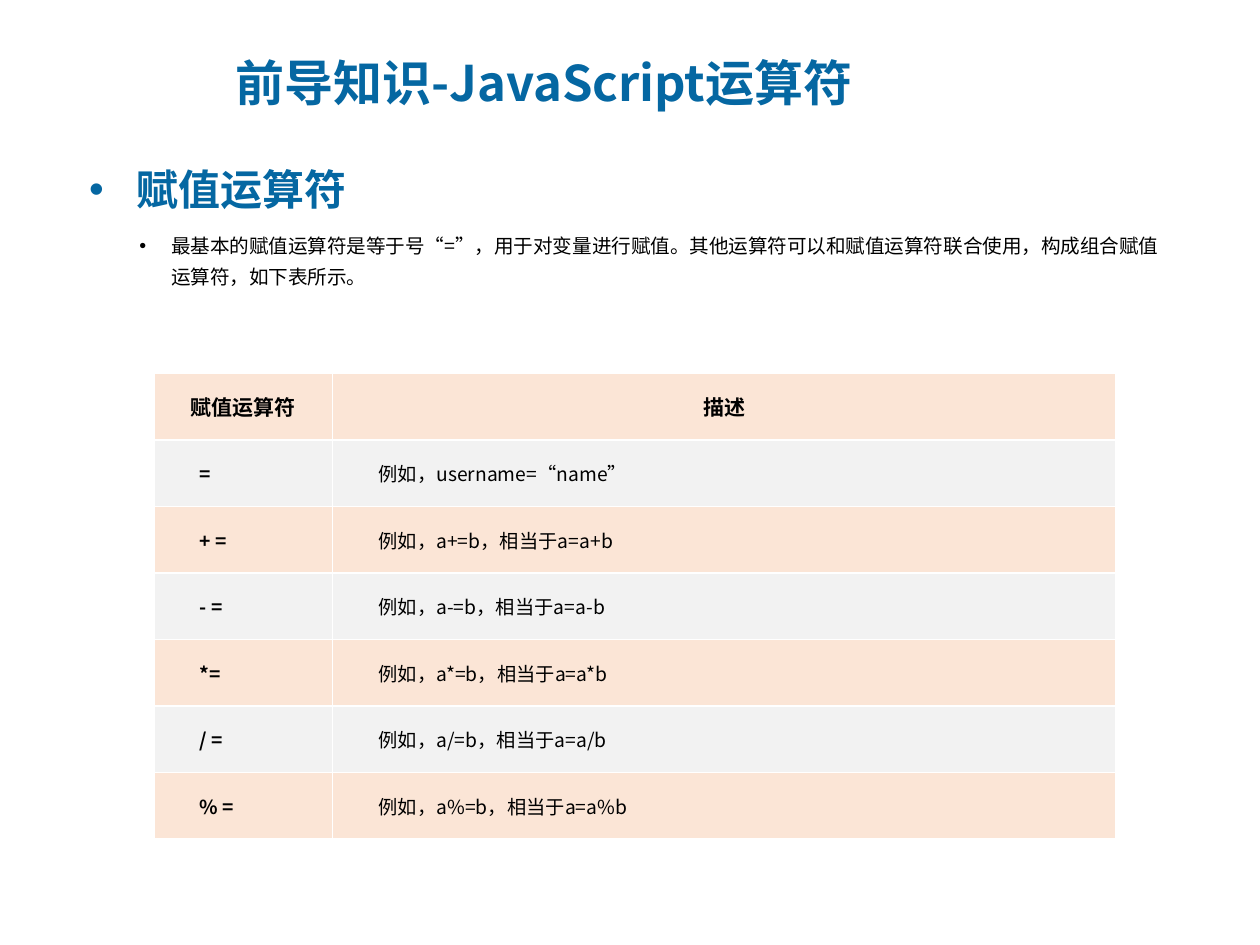
"""Build a slide on JavaScript assignment operators with a reference table."""
from lxml.etree import SubElement
from pptx import Presentation
from pptx.dml.color import RGBColor
from pptx.enum.text import MSO_ANCHOR, PP_ALIGN
from pptx.oxml.ns import qn
from pptx.util import Cm, Pt

BLUE = RGBColor(0x05, 0x67, 0xA2)
BLACK = RGBColor(0x00, 0x00, 0x00)
PEACH = RGBColor(0xFB, 0xE5, 0xD6)
GREY = RGBColor(0xF2, 0xF2, 0xF2)
BORDER_COLOUR = "FFFFFF"
CHINESE_FONT = "Noto Sans CJK SC"

TITLE = "前导知识-JavaScript运算符"
HEADING = "赋值运算符"
EXPLANATION = (
    "最基本的赋值运算符是等于号“=”，用于对变量进行赋值。"
    "其他运算符可以和赋值运算符联合使用，构成组合赋值运算符，如下表所示。"
)
TABLE_ROWS = [
    ("赋值运算符", "描述"),
    ("=", "例如，username=“name”"),
    ("+ =", "例如，a+=b，相当于a=a+b"),
    ("- =", "例如，a-=b，相当于a=a-b"),
    ("*=", "例如，a*=b，相当于a=a*b"),
    ("/ =", "例如，a/=b，相当于a=a/b"),
    ("% =", "例如，a%=b，相当于a=a%b"),
]
COLUMN_WIDTHS = [Cm(3.6), Cm(15.8)]
ROW_HEIGHT = Cm(1.34)


def format_runs(paragraph, size, colour, bold=False, latin_font=CHINESE_FONT):
    for run in paragraph.runs:
        run.font.size = Pt(size)
        run.font.bold = bold
        run.font.color.rgb = colour
        run.font.name = latin_font
        SubElement(run.font._element, qn("a:ea"), typeface=CHINESE_FONT)


def set_indent(paragraph, left, first_line, bullet=None):
    properties = paragraph._p.get_or_add_pPr()
    properties.set("marL", str(left))
    properties.set("indent", str(first_line))
    if bullet:
        SubElement(properties, qn("a:buFont"), typeface="Arial")
        SubElement(properties, qn("a:buChar"), char=bullet)


def add_text(slide, text, left, top, width, height, wrap=True):
    shape = slide.shapes.add_textbox(left, top, width, height)
    shape.text_frame.word_wrap = wrap
    shape.text_frame.text = text
    return shape.text_frame


def add_borders(cell):
    properties = cell._tc.get_or_add_tcPr()
    for side in ("lnL", "lnR", "lnT", "lnB"):
        line = SubElement(properties, qn(f"a:{side}"), w=str(Pt(1)))
        fill = SubElement(line, qn("a:solidFill"))
        SubElement(fill, qn("a:srgbClr"), val=BORDER_COLOUR)


def fill_cell(cell, text, row, column):
    add_borders(cell)
    cell.fill.solid()
    cell.fill.fore_color.rgb = GREY if row % 2 else PEACH
    cell.vertical_anchor = MSO_ANCHOR.MIDDLE
    cell.margin_left = cell.margin_right = Cm(0.19)
    cell.margin_top = cell.margin_bottom = 0
    cell.text_frame.text = text
    paragraph = cell.text_frame.paragraphs[0]
    is_header = row == 0
    paragraph.alignment = PP_ALIGN.CENTER if is_header else PP_ALIGN.JUSTIFY
    if not is_header:
        set_indent(paragraph, 0, Cm(0.74))
    format_runs(paragraph, 12 if is_header else 11, BLACK, is_header or column == 0)


def add_operator_table(slide):
    table = slide.shapes.add_table(
        len(TABLE_ROWS), len(COLUMN_WIDTHS), Cm(3.1), Cm(7.53),
        sum(COLUMN_WIDTHS), ROW_HEIGHT * len(TABLE_ROWS),
    ).table
    for column, width in zip(table.columns, COLUMN_WIDTHS):
        column.width = width
    for row, texts in enumerate(TABLE_ROWS):
        table.rows[row].height = ROW_HEIGHT
        for column, text in enumerate(texts):
            fill_cell(table.cell(row, column), text, row, column)


def main():
    presentation = Presentation()
    presentation.slide_width, presentation.slide_height = Cm(25.4), Cm(19.05)
    slide = presentation.slides.add_slide(presentation.slide_layouts[6])

    explanation = add_text(slide, EXPLANATION, Cm(1.3), Cm(4.45), Cm(22.4), Cm(1.47))
    paragraph = explanation.paragraphs[0]
    set_indent(paragraph, Cm(1.9), Cm(-0.64), "•")
    paragraph.line_spacing = 1.3
    format_runs(paragraph, 11.2, BLACK)

    heading = add_text(slide, HEADING, Cm(1.55), Cm(2.67), Cm(5.77), Cm(1.63), wrap=False)
    paragraph = heading.paragraphs[0]
    set_indent(paragraph, Cm(0.95), Cm(-0.95), "•")
    paragraph.line_spacing = 1.5
    format_runs(paragraph, 24, BLUE, bold=True, latin_font="Calibri")

    add_operator_table(slide)

    title = add_text(slide, TITLE, Cm(4.5), Cm(0.58), Cm(21), Cm(2.13))
    title.vertical_anchor = MSO_ANCHOR.MIDDLE
    paragraph = title.paragraphs[0]
    set_indent(paragraph, Cm(1.57), Cm(-1.57))
    format_runs(paragraph, 28, BLUE, bold=True)

    presentation.save("out.pptx")


if __name__ == "__main__":
    main()
